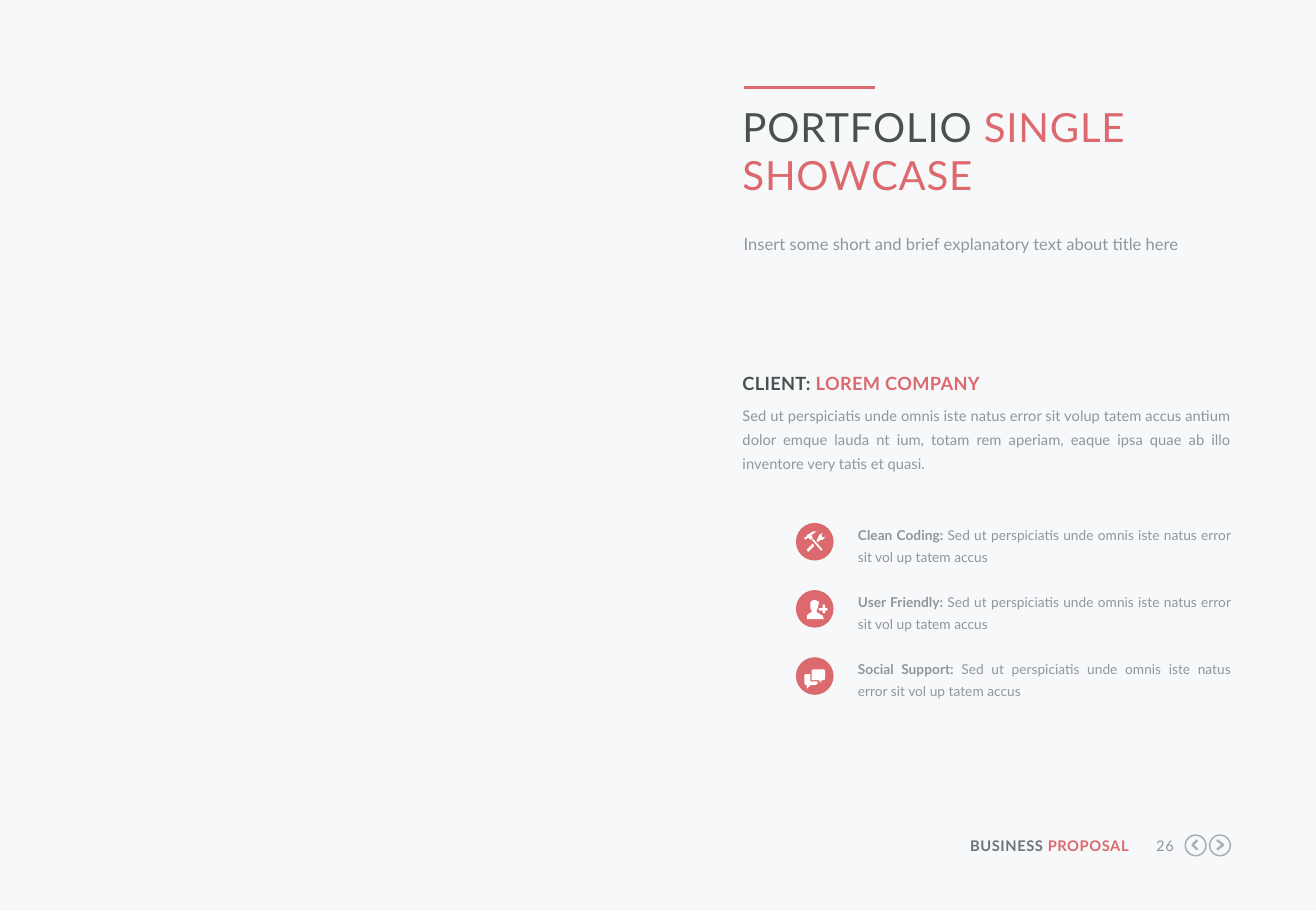
from dataclasses import dataclass, field
from lxml.etree import SubElement
from pptx import Presentation
from pptx.dml.color import RGBColor
from pptx.enum.shapes import MSO_CONNECTOR, MSO_SHAPE
from pptx.enum.text import MSO_ANCHOR, MSO_AUTO_SIZE, PP_ALIGN
from pptx.oxml.ns import qn
from pptx.util import Inches, Pt

HUE = {"back": "F6F8FA", "red": "DC696E", "dark": "4B5050", "slate": "6E7378",
       "grey": "91969B", "ring": "AAAFB4", "white": "FFFFFF"}
FRAME = {"margin_left": 0, "margin_right": 0, "margin_top": 0, "margin_bottom": 0,
         "word_wrap": True, "auto_size": MSO_AUTO_SIZE.NONE,
         "vertical_anchor": MSO_ANCHOR.TOP}
UNIT = Inches(0.01)  # step of the icon outlines

deck = Presentation()
deck.slide_width, deck.slide_height = Inches(10.83), Inches(7.5)
page = deck.slides.add_slide(deck.slide_layouts[5])


# Grid of 100 columns by 100 rows
def col(n: float) -> int:
    return round(deck.slide_width * n / 100)


def row(n: float) -> int:
    return round(deck.slide_height * n / 100)


def tint(name: str) -> RGBColor:
    return RGBColor.from_string(HUE[name])


@dataclass
class Run:
    text: str
    hue: str = "grey"
    bold: bool = False


@dataclass
class Block:
    left: float
    top: float
    width: float
    height: float
    size: float
    runs: list[Run]
    form: dict = field(default_factory=dict)
    track: int = 0


@dataclass
class Item:
    head: str
    text: str
    icon: list


def write(block: Block, shape=None) -> None:
    box = [col(block.left), row(block.top), col(block.width), row(block.height)]
    if shape is None:
        shape = page.shapes.add_textbox(*box)
    shape.left, shape.top, shape.width, shape.height = box
    frame = shape.text_frame
    for key, value in FRAME.items():
        setattr(frame, key, value)
    para = frame.paragraphs[0]
    for key, value in ({"alignment": PP_ALIGN.LEFT} | block.form).items():
        setattr(para, key, value)
    for part in block.runs:
        run = para.add_run()
        run.text = part.text
        style = {"name": "Lato", "size": Pt(block.size), "bold": part.bold}
        for key, value in style.items():
            setattr(run.font, key, value)
        run.font.color.rgb = tint(part.hue)
        if block.track:
            run._r.get_or_add_rPr().set("spc", str(block.track))


def paint(shape, fill: str | None = None, line: str | None = None,
          width: float = 1) -> None:
    shape.shadow.inherit = False
    if fill:
        shape.fill.solid()
        shape.fill.fore_color.rgb = tint(fill)
    else:
        shape.fill.background()
    if line:
        shape.line.color.rgb = tint(line)
        shape.line.width = Pt(width)
    else:
        shape.line.fill.background()


def disc(left: int, top: int, size: float):
    return page.shapes.add_shape(MSO_SHAPE.OVAL, left, top, Inches(size), Inches(size))


def trace(loops: list, left: int, top: int, close: bool = True):
    pen = page.shapes.build_freeform(*loops[0][0], scale=UNIT)
    for i, loop in enumerate(loops):
        if i:
            pen.move_to(*loop[0])
        pen.add_line_segments(loop[1:], close=close)
    return pen.convert_to_shape(left, top)


# Icon outlines, measured from the corner of their disc
TOOLS = [
    [(9, 13), (10, 12), (12, 14), (14, 12), (13, 11), (13, 9.5), (17, 7), (14, 7),
     (11, 9), (9, 10), (9, 11), (7, 12), (7, 13), (8.5, 14.3)],
    [(13, 14.2), (14, 13), (22, 22), (21, 23.2)],
    [(25, 9), (23.5, 11.5), (22, 11.5), (21, 9.5), (22, 8), (19, 10), (18.5, 13),
     (17, 14.5), (18.2, 16), (20, 14), (22, 14), (24, 12.5)],
    [(9, 22), (10, 23.7), (15, 19), (14, 17)],
]
USER = [
    [(23, 24), (9, 24), (9, 21), (10, 20), (13, 18.5), (13, 17), (12, 15), (12, 10),
     (13, 8.6), (15, 8), (17.5, 8.6), (19, 10.5), (18.5, 15), (17, 17), (17.3, 18.5),
     (20, 20), (22.5, 21)],
    [(26, 15), (26, 17), (24, 17), (24, 19), (22, 19), (22, 17), (19, 17), (19, 15),
     (22, 15), (22, 12), (24, 12), (24, 15)],
]
CHAT = [
    [(18, 20), (18, 22), (16, 23), (12, 23), (9, 26), (9, 23), (8, 23), (7, 22),
     (7, 15), (8, 14), (12, 14), (12, 20)],
    [(24, 11), (24, 18), (23, 19), (21, 19), (21, 21), (19, 19), (13, 19), (13, 11),
     (14, 10), (23, 10)],
]

# Backdrop and accent rule
page.background.fill.solid()
page.background.fill.fore_color.rgb = tint("back")
rule = page.shapes.add_connector(MSO_CONNECTOR.STRAIGHT, col(56.51), row(9.6),
                                 col(66.48), row(9.6))
rule.line.color.rgb = tint("red")
rule.line.width = Pt(2.25)
SubElement(rule._element.spPr, qn("a:effectLst"))

# Title
write(Block(56.42, 11.2, 37.12, 12.27, 23.8,
            [Run("PORTFOLIO ", "dark"), Run("SINGLE SHOWCASE", "red")],
            {"line_spacing": 1.0}, 50), page.shapes.title)

# Subtitle, client and footer
flush = {"alignment": PP_ALIGN.JUSTIFY, "space_after": Pt(6.5)}
right = {"alignment": PP_ALIGN.RIGHT}
for block in [
    Block(56.51, 25.47, 37.12, 2.8, 9.8,
          [Run("Insert some short and brief explanatory text about title here")],
          {"line_spacing": Pt(13)}),
    Block(56.42, 39.87, 37.12, 3.33, 10.8,
          [Run("CLIENT: ", "dark", True), Run("LOREM COMPANY", "red", True)],
          {"line_spacing": Pt(18.4)}, 20),
    Block(56.42, 44, 37.12, 7.87, 8.7,
          [Run("Sed ut perspiciatis unde omnis iste natus error sit volup tatem accus "
               "antium dolor emque lauda nt ium, totam rem aperiam, eaque ipsa quae ab "
               "illo inventore very tatis et quasi.")],
          flush | {"line_spacing": Pt(14.1)}),
    Block(73.13, 91.87, 12.65, 2, 8.7,
          [Run("BUSINESS ", "slate", True), Run("PROPOSAL", "red", True)], right, 30),
    Block(86.89, 91.87, 2.31, 2, 8.7, [Run("26")], right, 30),
]:
    write(block)

# Feature list
LOREM = "Sed ut perspiciatis unde omnis iste natus error sit vol up tatem accus"
for i, item in enumerate([Item("Clean Coding: ", LOREM, TOOLS),
                          Item("User Friendly: ", LOREM, USER),
                          Item("Social Support: ", LOREM, CHAT)]):
    top = 57.2 + 7.37 * i
    left, high = col(60.48), row(top + 0.2)
    paint(disc(left, high, 0.31), fill="red")
    paint(trace(item.icon, left, high), fill="white")
    write(Block(65.19, top, 28.35, 4.8, 8.1,
                [Run(item.head, bold=True), Run(item.text)],
                flush | {"line_spacing": Pt(13)}))

# Back and next buttons
BACK = [(10.5, 4.5), (6, 8.5), (10.5, 12.5)]
NEXT = [(17 - x, y) for x, y in BACK]
for i, arrow in enumerate([BACK, NEXT]):
    left, top = col(90.07 + 1.85 * i), row(91.67)
    paint(disc(left, top, 0.17), line="ring", width=0.9)
    paint(trace([arrow], left, top, close=False), line="ring", width=1.4)

deck.save("out.pptx")
